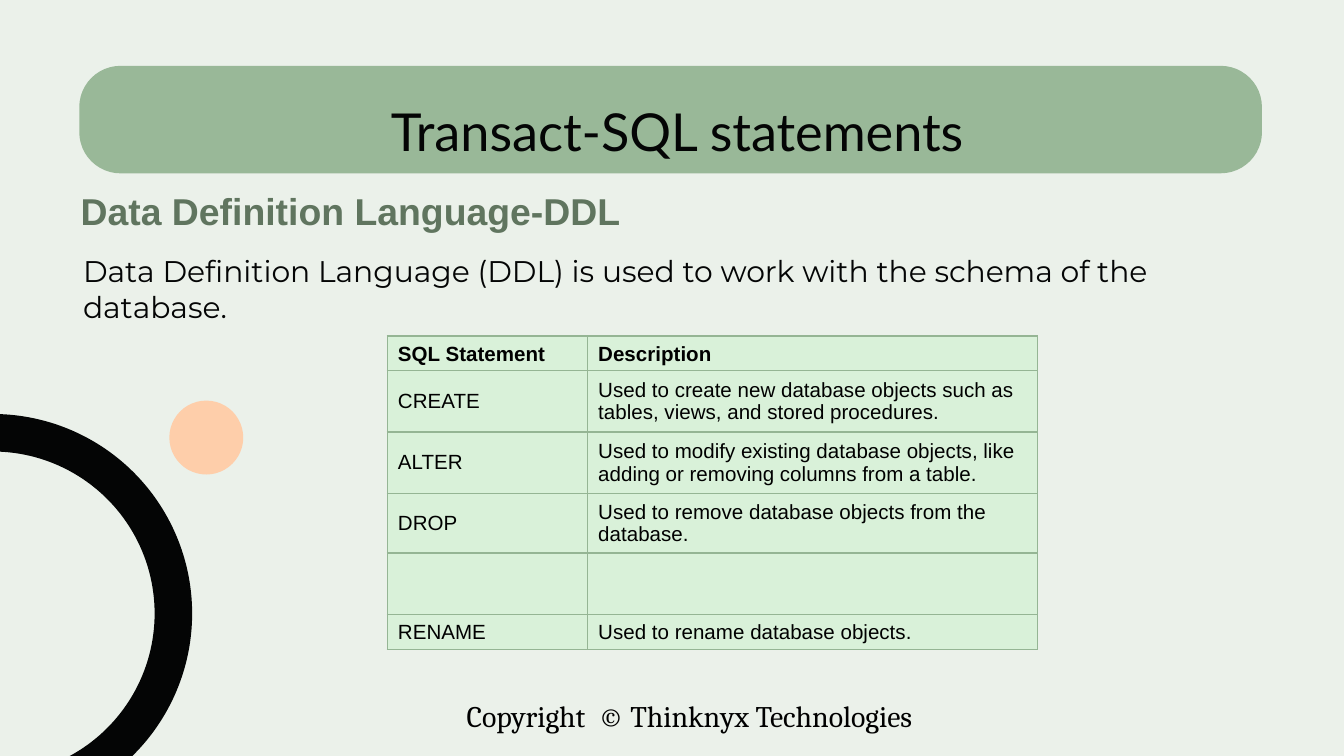
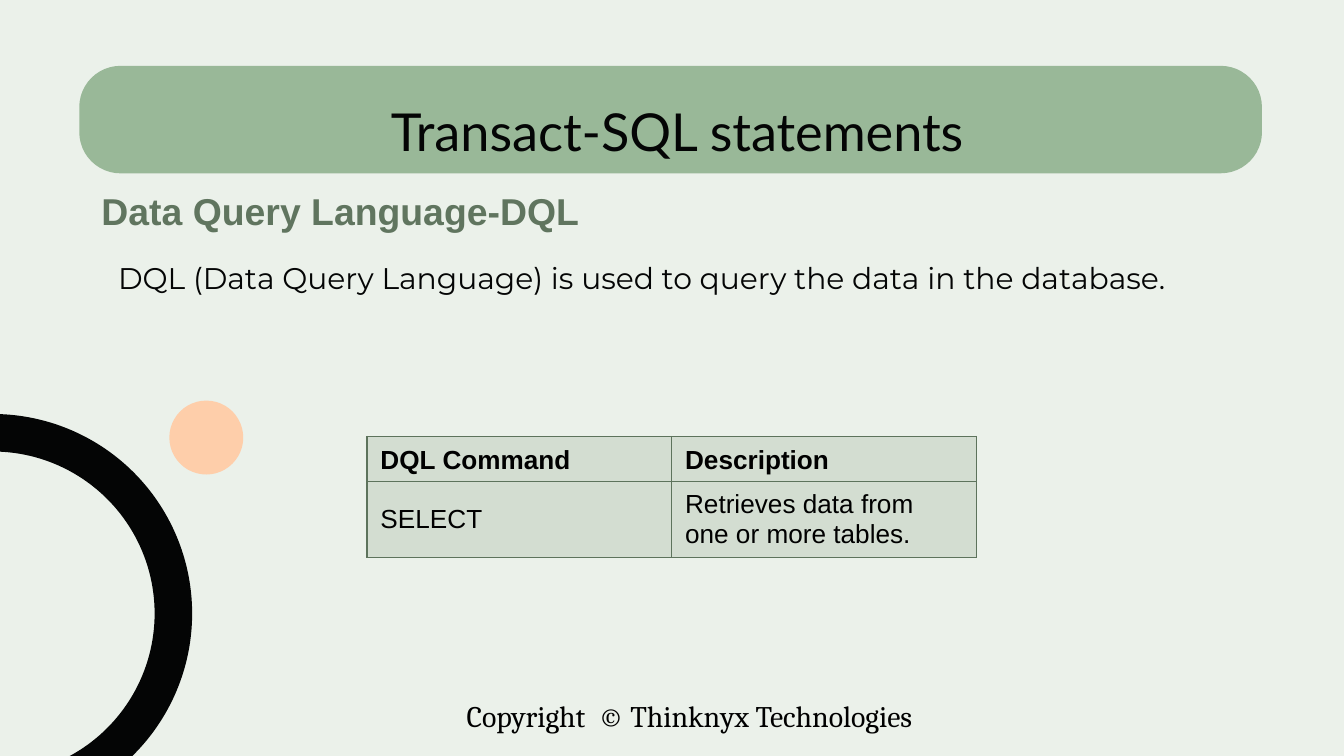
from dataclasses import dataclass

import pptx
import pptx.dml.color
import pptx.enum.shapes
import pptx.enum.text
import pptx.oxml
import pptx.oxml.ns
import pptx.util
from pptx.util import Pt

SHAPE = pptx.enum.shapes.MSO_SHAPE
ALIGN = pptx.enum.text.PP_ALIGN
ANCHOR = pptx.enum.text.MSO_ANCHOR

COLORS = {
    "background": "EBF1EA",
    "band": "99B898",
    "ink": "040505",
    "black": "000000",
    "heading": "60755F",
    "peach": "FECEAA",
    "ddl_fill": "D9F1D9",
    "ddl_line": "95B594",
    "dql_fill": "D3DDD1",
    "dql_line": "5D735C",
}


@dataclass(frozen=True)
class Frame:
    left: float
    top: float
    width: float
    height: float

    def lengths(self) -> tuple:
        return Pt(self.left), Pt(self.top), Pt(self.width), Pt(self.height)


@dataclass(frozen=True)
class Style:
    font: str
    size: float
    color: str
    bold: bool = False


@dataclass(frozen=True)
class Ornament:
    kind: SHAPE
    frame: Frame
    color: str
    adjustments: tuple[float, ...] = ()
    rotation: float = 0


@dataclass(frozen=True)
class Grid:
    left: float
    top: float
    columns: tuple[float, ...]
    heights: tuple[float, ...]
    rows: tuple[tuple[str, str], ...]
    size: float
    inset_x: float
    inset_y: float
    fill: str
    line: str


@dataclass(frozen=True)
class Topic:
    heading: str
    heading_inset: float
    body: str
    body_frame: Frame
    grid: Grid


TITLE_STYLE = Style("Lato", 28, "ink")
HEADING_STYLE = Style("Arial", 20, "heading", True)
BODY_STYLE = Style("Montserrat", 16, "ink")
FOOTER_STYLE = Style("Cambria", 16, "black")

TITLE_FRAME = Frame(56.2, 48.2, 607.7, 33.8)
HEADING_FRAME = Frame(-90.7, 97.2, 518.4, 31.7)
FOOTER_FRAME = Frame(226.1, 370.1, 286.6, 26.6)

ORNAMENTS = (
    Ornament(SHAPE.ROUNDED_RECTANGLE, Frame(42.5, 35.3, 633.6, 57.6), "band", (0.384,)),
    Ornament(SHAPE.BLOCK_ARC, Frame(-110.9, 221.8, 213.8, 213.8), "ink",
             (108, 0.001, 0.094), 90),
    Ornament(SHAPE.OVAL, Frame(90.7, 214.6, 39.6, 39.6), "peach"),
)

TOPICS = (
    Topic(
        "Data Definition Language-DDL",
        46,
        "Data Definition Language (DDL) is used to work with the schema of the database.",
        Frame(37.4, 131.8, 644.4, 46.1),
        Grid(
            207.4, 180, (107.3, 241.2), (18.2, 32.8, 33, 30.2, 33, 18.2),
            (
                ("SQL Statement", "Description"),
                ("CREATE", "Used to create new database objects such as tables, "
                           "views, and stored procedures."),
                ("ALTER", "Used to modify existing database objects, like adding "
                          "or removing columns from a table."),
                ("DROP", "Used to remove database objects from the database."),
                ("", ""),
                ("RENAME", "Used to rename database objects."),
            ),
            11, 5.8, 2.7, "ddl_fill", "ddl_line",
        ),
    ),
    Topic(
        "Data Query Language-DQL",
        35,
        "DQL (Data Query Language) is used to query the data in the database.",
        Frame(56.2, 135.4, 644.4, 26.6),
        Grid(
            196.6, 233.8, (163.2, 163.2), (24.1, 40.9),
            (
                ("DQL Command", "Description"),
                ("SELECT", "Retrieves data from one or more tables."),
            ),
            14, 7.2, 3.6, "dql_fill", "dql_line",
        ),
    ),
)


def rgb(name: str) -> pptx.dml.color.RGBColor:
    return pptx.dml.color.RGBColor.from_string(COLORS[name])


def style_paragraph(para, style: Style) -> None:
    para.font.name = style.font
    para.font.size = Pt(style.size)
    para.font.bold = style.bold
    para.font.color.rgb = rgb(style.color)


def add_text(page, text: str, frame: Frame, style: Style,
             align: ALIGN = ALIGN.LEFT, wrap: bool = True):
    box = page.shapes.add_textbox(*frame.lengths())
    box.text_frame.word_wrap = wrap
    para = box.text_frame.paragraphs[0]
    para.text = text
    para.alignment = align
    style_paragraph(para, style)
    return box.text_frame


def add_ornament(page, ornament: Ornament) -> None:
    shape = page.shapes.add_shape(ornament.kind, *ornament.frame.lengths())
    for index, value in enumerate(ornament.adjustments):
        shape.adjustments[index] = value
    shape.rotation = ornament.rotation
    shape.shadow.inherit = False
    shape.fill.solid()
    shape.fill.fore_color.rgb = rgb(ornament.color)
    shape.line.fill.background()


def add_title(page) -> None:
    frame = add_text(page, "Transact-SQL statements", TITLE_FRAME, TITLE_STYLE, ALIGN.CENTER)
    frame.vertical_anchor = ANCHOR.MIDDLE
    frame.margin_left = Pt(5.4)
    frame.margin_right = frame.margin_top = frame.margin_bottom = 0
    frame.paragraphs[0].line_spacing = 1.29


def set_borders(cell, color: str) -> None:
    properties = cell._tc.get_or_add_tcPr()
    for position, side in enumerate(("lnL", "lnR", "lnT", "lnB")):
        line = pptx.oxml.parse_xml(
            f'<a:{side} {pptx.oxml.ns.nsdecls("a")} w="{Pt(0.75)}"><a:solidFill>'
            f'<a:srgbClr val="{COLORS[color]}"/></a:solidFill></a:{side}>'
        )
        properties.insert(position, line)


def add_grid(page, grid: Grid) -> None:
    frame = Frame(grid.left, grid.top, sum(grid.columns), sum(grid.heights))
    table = page.shapes.add_table(
        len(grid.rows), len(grid.columns), *frame.lengths()
    ).table
    table.first_row = False
    table.horz_banding = False
    for column, width in zip(table.columns, grid.columns):
        column.width = Pt(width)
    for row_index, (texts, height) in enumerate(zip(grid.rows, grid.heights)):
        table.rows[row_index].height = Pt(height)
        is_header = row_index == 0
        style = Style("Arial", grid.size, "black", is_header)
        for column_index, text in enumerate(texts):
            cell = table.cell(row_index, column_index)
            cell.text = text
            cell.vertical_anchor = ANCHOR.BOTTOM if is_header else ANCHOR.MIDDLE
            cell.margin_left = cell.margin_right = Pt(grid.inset_x)
            cell.margin_top = cell.margin_bottom = Pt(grid.inset_y)
            style_paragraph(cell.text_frame.paragraphs[0], style)
            cell.fill.solid()
            cell.fill.fore_color.rgb = rgb(grid.fill)
            set_borders(cell, grid.line)


def add_topic(deck, topic: Topic) -> None:
    page = deck.slides.add_slide(deck.slide_layouts[6])
    page.background.fill.solid()
    page.background.fill.fore_color.rgb = rgb("background")
    add_text(page, "Copyright  © Thinknyx Technologies", FOOTER_FRAME, FOOTER_STYLE,
             ALIGN.CENTER, wrap=False)
    for ornament in ORNAMENTS:
        add_ornament(page, ornament)
    add_title(page)
    heading = add_text(page, topic.heading, HEADING_FRAME, HEADING_STYLE, ALIGN.CENTER)
    heading.margin_left = Pt(topic.heading_inset)
    add_text(page, topic.body, topic.body_frame, BODY_STYLE)
    add_grid(page, topic.grid)


def main() -> None:
    deck = pptx.Presentation()
    deck.slide_width = Pt(720)
    deck.slide_height = Pt(405)
    for topic in TOPICS:
        add_topic(deck, topic)
    deck.save("out.pptx")


if __name__ == "__main__":
    main()
